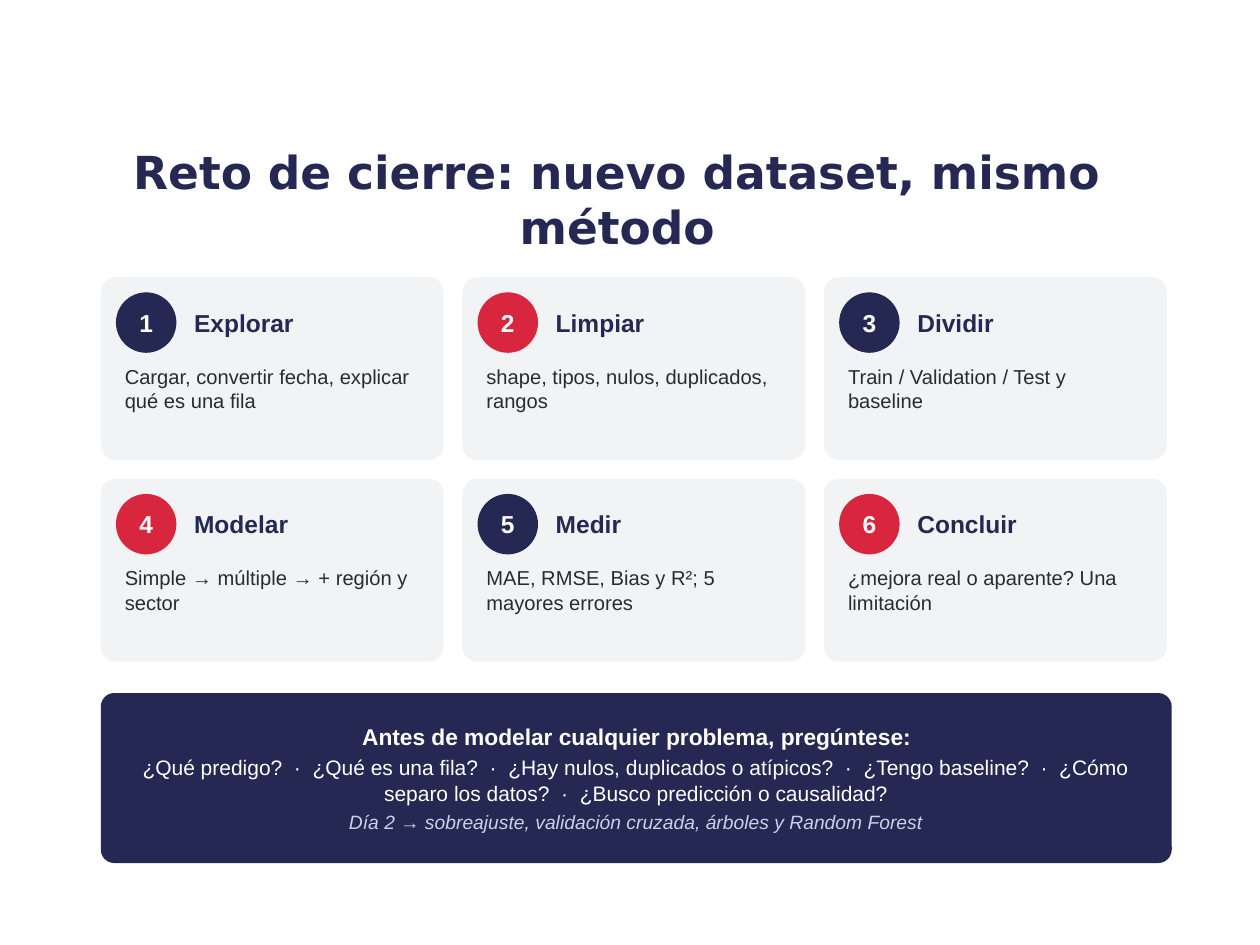
from pptx import Presentation
from pptx.dml.color import RGBColor
from pptx.enum.shapes import MSO_SHAPE
from pptx.enum.text import MSO_ANCHOR, PP_ALIGN
from pptx.util import Emu, Pt

COLORS = {"navy": "242852", "red": "D7263D", "card": "F2F3F5",
          "ink": "2B2B2B", "white": "FFFFFF", "pale": "C9D2E8"}

STEPS = [
    ("Explorar", "Cargar, convertir fecha, explicar qué es una fila"),
    ("Limpiar", "shape, tipos, nulos, duplicados, rangos"),
    ("Dividir", "Train / Validation / Test y baseline"),
    ("Modelar", "Simple → múltiple → + región y sector"),
    ("Medir", "MAE, RMSE, Bias y R²; 5 mayores errores"),
    ("Concluir", "¿mejora real o aparente? Una limitación"),
]

QUESTIONS = ["¿Qué predigo?", "¿Qué es una fila?",
             "¿Hay nulos, duplicados o atípicos?", "¿Tengo baseline?",
             "¿Cómo separo los datos?", "¿Busco predicción o causalidad?"]


def px(n):
    return Emu(n * 9144)


def rgb(name):
    return RGBColor.from_string(COLORS[name])


def add_text(tf, text, size, color="white", bold=False, italic=False,
             font="Arial", align=PP_ALIGN.LEFT, after=0, first=True):
    p = tf.paragraphs[0] if first else tf.add_paragraph()
    p.alignment = align
    p.space_after = Pt(after)
    r = p.add_run()
    r.text = text
    r.font.name = font
    r.font.size = Pt(size)
    r.font.bold = bold
    r.font.italic = italic
    r.font.color.rgb = rgb(color)


def set_frame(tf, inset, anchor):
    tf.word_wrap = True
    tf.vertical_anchor = anchor
    tf.margin_left = tf.margin_right = px(inset)
    tf.margin_top = tf.margin_bottom = px(inset)
    return tf


def add_box(s, kind, x, y, w, h, fill, inset=0):
    sp = s.shapes.add_shape(kind, px(x), px(y), px(w), px(h))
    sp.shadow.inherit = False
    sp.fill.solid()
    sp.fill.fore_color.rgb = rgb(fill)
    sp.line.fill.background()
    if kind == MSO_SHAPE.ROUNDED_RECTANGLE:
        sp.adjustments[0] = 0.08
    return set_frame(sp.text_frame, inset, MSO_ANCHOR.MIDDLE)


def add_label(s, x, y, w, h, text, size, inset=4, anchor=MSO_ANCHOR.MIDDLE, **fmt):
    tb = s.shapes.add_textbox(px(x), px(y), px(w), px(h))
    add_text(set_frame(tb.text_frame, inset, anchor), text, size, **fmt)


def add_title(s, x, y, w, h):
    add_label(s, x, y, w, h, "Reto de cierre: nuevo dataset, mismo método", 26,
              inset=10, color="navy", bold=True, font="DejaVu Sans",
              align=PP_ALIGN.CENTER)


def add_card(s, x, y, w, h, number, heading, body):
    add_box(s, MSO_SHAPE.ROUNDED_RECTANGLE, x, y, w, h, "card")
    badge = add_box(s, MSO_SHAPE.OVAL, x + 12, y + 12, 48, 48,
                    "navy" if number % 2 else "red")
    add_text(badge, str(number), 14, bold=True, align=PP_ALIGN.CENTER, after=3)
    add_label(s, x + 70, y + 12, w - 77, 48, heading, 14,
              color="navy", bold=True, after=4)
    add_label(s, x + 15, y + 65, w - 27, h - 70, body, 11.5,
              anchor=MSO_ANCHOR.TOP, color="ink", after=4)


def add_steps(s, x, y, w, h, gap=15, cols=3, rows=2):
    cw = (w - gap * (cols - 1)) // cols
    ch = (h - gap * (rows - 1)) // rows
    for i, (heading, body) in enumerate(STEPS):
        row, col = divmod(i, cols)
        add_card(s, x + col * (cw + gap), y + row * (ch + gap), cw, ch,
                 i + 1, heading, body)


def add_checklist(s, x, y, w, h):
    tf = add_box(s, MSO_SHAPE.ROUNDED_RECTANGLE, x, y, w, h, "navy", inset=8)
    fmt = {"align": PP_ALIGN.CENTER, "after": 3}
    add_text(tf, "Antes de modelar cualquier problema, pregúntese:", 13,
             bold=True, **fmt)
    add_text(tf, "  ·  ".join(QUESTIONS), 12, first=False, **fmt)
    add_text(tf, "Día 2 → sobreajuste, validación cruzada, árboles y Random Forest",
             11, color="pale", italic=True, first=False, **fmt)


def main():
    prs = Presentation()
    prs.slide_width, prs.slide_height = px(1000), px(750)
    s = prs.slides.add_slide(prs.slide_layouts[6])
    add_title(s, 75, 118, 830, 80)
    add_steps(s, 80, 220, 846, 305)
    add_checklist(s, 80, 550, 850, 135)
    prs.save("out.pptx")


if __name__ == "__main__":
    main()
